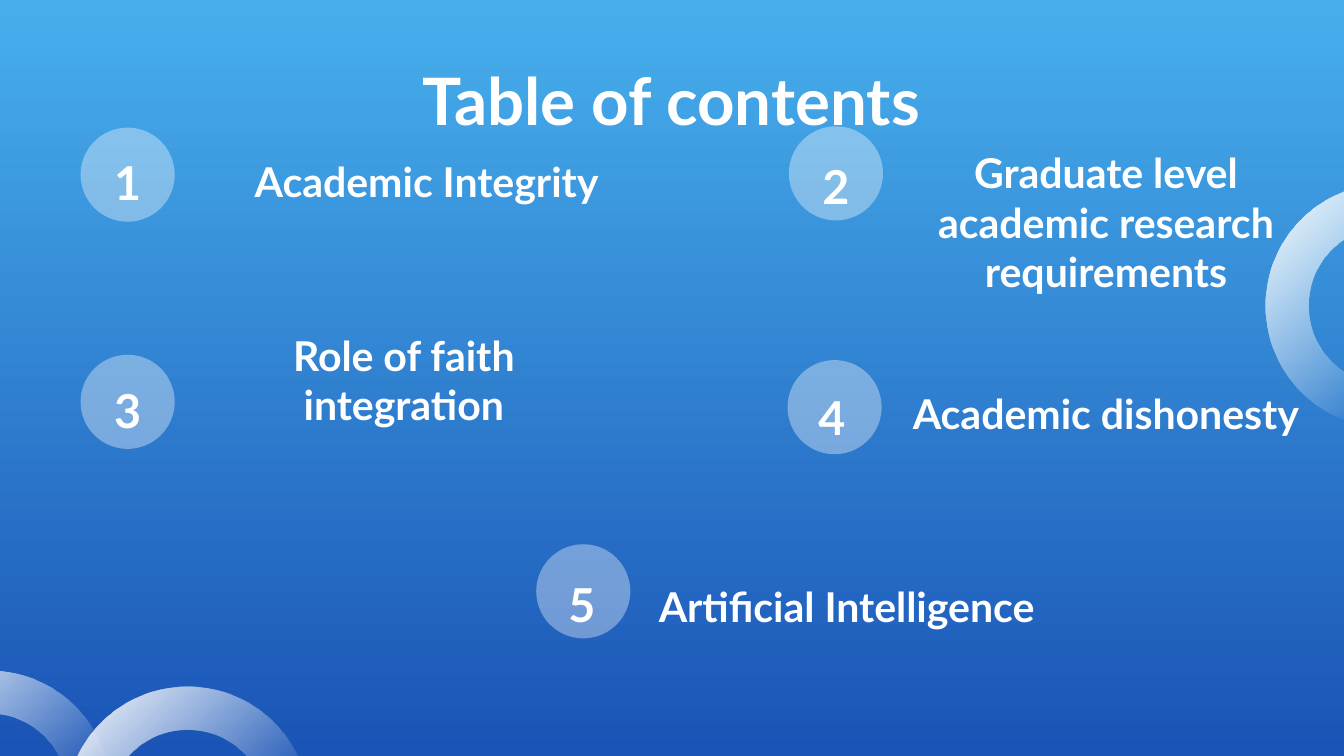
"""Build a table of contents slide with numbered topics on a blue gradient."""
from lxml import etree
from pptx import Presentation
from pptx import util as u
from pptx.dml.color import RGBColor
from pptx.enum import shapes, text
from pptx.oxml import parse_xml
from pptx.oxml.ns import nsdecls, qn

COLORS = {"sky": "47AFEC", "navy": "1A54B6", "white": "FFFFFF"}
FONT = "Lato"
TITLE = "Table of contents"
WIDTH = 10
HEIGHT = WIDTH * 9 / 16
BADGE, RING = 0.7, 1.81
NUMBER_SIZE = (0.8, 0.55)
LABEL_WIDTH, LABEL_HEIGHT = 3.14, 0.4

RINGS = [
    {"at": (-0.99, 4.99), "rotation": 180, "angle": 225, "flip": False},
    {"at": (0.49, 5.11), "rotation": 0, "angle": 135, "flip": True},
    {"at": (9.42, 1.37), "rotation": 180, "angle": 225, "flip": False},
]
TOPICS = [
    {"label": "Academic Integrity", "badge": (0.6, 0.95), "number": (0.55, 1.11),
     "text": (1.61, 1.23), "width": 3.13},
    {"label": "Graduate level academic research requirements", "badge": (5.87, 0.94),
     "number": (5.82, 1.14), "text": (6.66, 1.9)},
    {"label": "Role of faith integration", "badge": (0.6, 2.64), "number": (0.55, 2.81),
     "text": (1.44, 2.89), "width": 3.13},
    {"label": "Academic dishonesty", "badge": (5.86, 2.68), "number": (5.79, 2.86), "text": (6.66, 2.96)},
    {"label": "Artificial Intelligence", "badge": (3.99, 4.05), "number": (3.93, 4.25), "text": (4.73, 4.39)},
]


def rgb(name):
    return RGBColor.from_string(COLORS[name])


def add_round(s, kind, at, size):
    sp = s.shapes.add_shape(kind, *map(u.Inches, (*at, size, size)))
    sp.shadow.inherit = False
    sp.line.fill.background()
    return sp


def add_ring(s, ring):
    sp = add_round(s, shapes.MSO_SHAPE.DONUT, ring["at"], RING)
    sp.adjustments[0] = 0.178
    sp.rotation = ring["rotation"]
    if ring["flip"]:
        sp._element.spPr.find(qn("a:xfrm")).set("flipH", "1")
    stops = "".join(
        f'<a:gs pos="{pos * 1000}"><a:srgbClr val="{COLORS["white"]}">'
        f'<a:alpha val="{alpha * 1000}"/></a:srgbClr></a:gs>'
        for pos, alpha in [(0, 100), (69, 0), (100, 0)])
    gradient = parse_xml(
        f'<a:gradFill {nsdecls("a")} rotWithShape="1"><a:gsLst>{stops}</a:gsLst>'
        f'<a:lin ang="{ring["angle"] * 60000}" scaled="0"/></a:gradFill>')
    sp._element.spPr.find(qn("a:prstGeom")).addnext(gradient)


def add_badge(s, at):
    sp = add_round(s, shapes.MSO_SHAPE.OVAL, at, BADGE)
    sp.fill.solid()
    sp.fill.fore_color.rgb = rgb("white")
    color = sp._element.spPr.find(qn("a:solidFill")).find(qn("a:srgbClr"))
    etree.SubElement(color, qn("a:alpha")).set("val", "36000")


def add_text(s, words, at, size, points, anchor=text.MSO_ANCHOR.BOTTOM, side=0.1):
    tf = s.shapes.add_textbox(*map(u.Inches, (*at, *size))).text_frame
    tf.word_wrap = True
    tf.vertical_anchor = anchor
    tf.margin_left = tf.margin_right = u.Inches(side)
    tf.margin_top = tf.margin_bottom = u.Inches(0.1)
    p = tf.paragraphs[0]
    p.alignment = text.PP_ALIGN.CENTER
    r = p.add_run()
    r.text = words
    r.font.name, r.font.size, r.font.bold = FONT, u.Pt(points), True
    r.font.color.rgb = rgb("white")


def main():
    prs = Presentation()
    prs.slide_width, prs.slide_height = u.Inches(WIDTH), u.Inches(HEIGHT)
    s = prs.slides.add_slide(prs.slide_layouts[6])

    fill = s.background.fill
    fill.gradient()
    fill.gradient_angle = 270
    for stop, name, position in zip(fill.gradient_stops, ("sky", "navy"), (0, 1)):
        stop.color.rgb = rgb(name)
        stop.position = position

    for ring in RINGS:
        add_ring(s, ring)
    add_text(s, TITLE, (0.78, 0.35), (8.43, 0.75), 35, text.MSO_ANCHOR.TOP, 0.8)
    for number, topic in enumerate(TOPICS, 1):
        label_size = (topic.get("width", LABEL_WIDTH), LABEL_HEIGHT)
        add_badge(s, topic["badge"])
        add_text(s, str(number), topic["number"], NUMBER_SIZE, 25)
        add_text(s, topic["label"], topic["text"], label_size, 22)
    prs.save("out.pptx")


if __name__ == "__main__":
    main()
